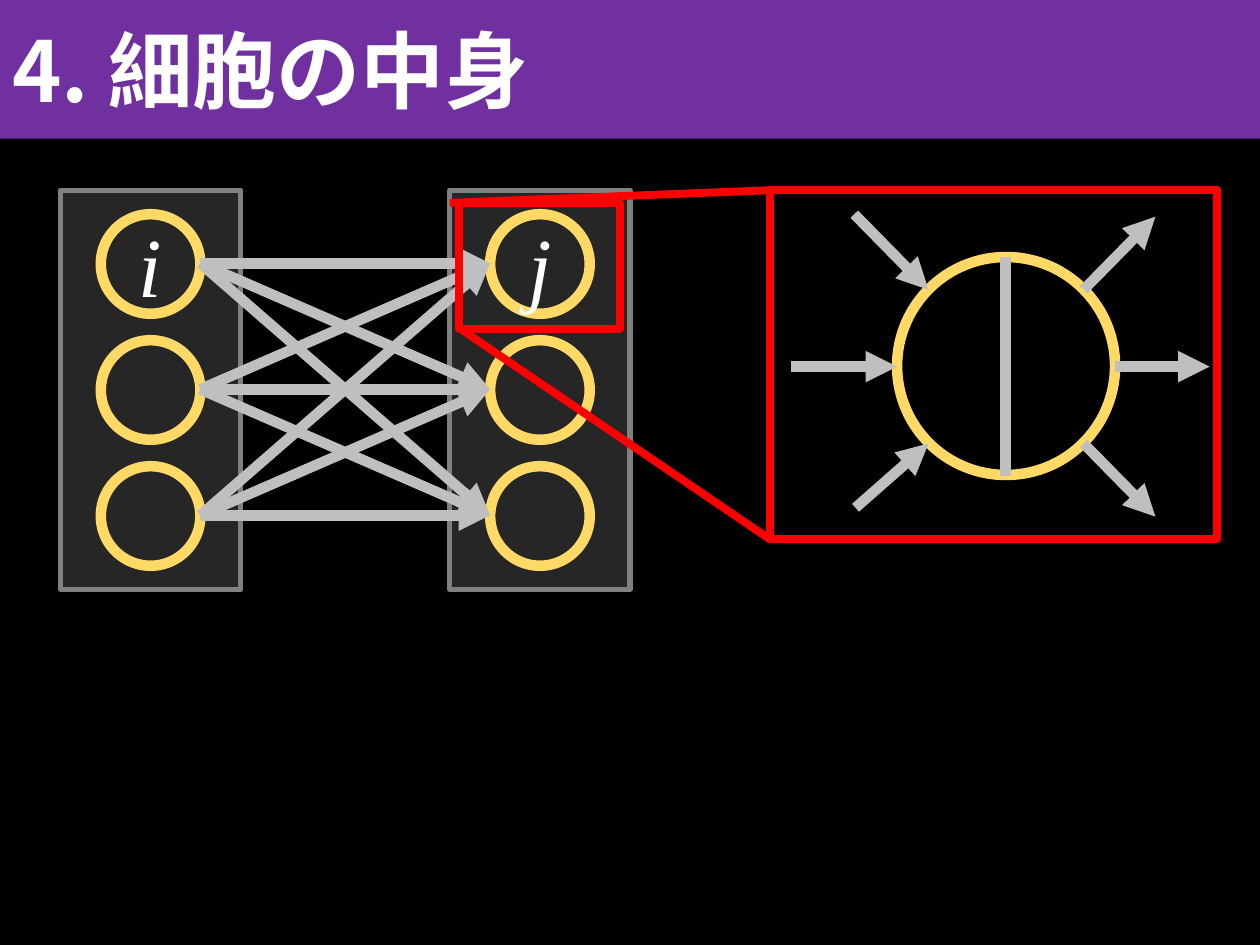
from itertools import product
from typing import NamedTuple

from lxml import etree
from pptx import Presentation
from pptx.dml.color import RGBColor
from pptx.enum.shapes import MSO_CONNECTOR, MSO_SHAPE
from pptx.enum.text import MSO_ANCHOR, PP_ALIGN
from pptx.oxml.ns import qn
from pptx.util import Emu, Pt

RECT = MSO_SHAPE.RECTANGLE
OVAL = MSO_SHAPE.OVAL
LINE = MSO_CONNECTOR.STRAIGHT
MID = MSO_ANCHOR.MIDDLE
LEFT = PP_ALIGN.LEFT
CENTER = PP_ALIGN.CENTER

SCALE = 9144
WHITE = "FFFFFF"
GOLD = "FFD966"
GRAY = "BFBFBF"
RED = "FF0000"


class Box(NamedTuple):
    x: int
    y: int
    w: int
    h: int


class Ray(NamedTuple):
    x1: int
    y1: int
    x2: int
    y2: int


class Layer(NamedTuple):
    x: int
    label: str


def px(n: int) -> Emu:
    return Emu(n * SCALE)


def color(code: str) -> RGBColor:
    return RGBColor.from_string(code)


def write(shape, text: str, *, font: str, size: int = 48, align=LEFT,
          bold: bool = False, italic: bool = False) -> None:
    frame = shape.text_frame
    frame.word_wrap = True
    frame.vertical_anchor = MID
    para = frame.paragraphs[0]
    para.alignment = align
    run = para.add_run()
    run.text = text
    run.font.name = font
    run.font.size = Pt(size)
    run.font.bold = bold
    run.font.italic = italic
    run.font.color.rgb = color(WHITE)
    etree.SubElement(run._r.get_or_add_rPr(), qn("a:ea"), typeface=font)


def draw(home, kind, box: Box, fill: str = "", edge: str = "", width: float = 6):
    shape = home.shapes.add_shape(kind, *map(px, box))
    shape.shadow.inherit = False
    if fill:
        shape.fill.solid()
        shape.fill.fore_color.rgb = color(fill)
    else:
        shape.fill.background()
    if edge:
        shape.line.color.rgb = color(edge)
        shape.line.width = Pt(width)
    else:
        shape.line.fill.background()
    return shape


def link(home, ray: Ray, edge: str = GRAY, width: float = 6, head: bool = True) -> None:
    line = home.shapes.add_connector(LINE, *map(px, ray))
    line.line.color.rgb = color(edge)
    line.line.width = Pt(width)
    if head:
        etree.SubElement(line.line._get_or_add_ln(), qn("a:tailEnd"), type="triangle")
    etree.SubElement(line._element.spPr, qn("a:effectLst"))


def draw_layer(home, layer: Layer) -> None:
    draw(home, RECT, Box(layer.x, 151, 143, 317), "262626", "808080", 3)
    for row in range(3):
        cell = draw(home, OVAL, Box(layer.x + 32, 170 + 100 * row, 79, 79), edge=GOLD)
        if row == 0:
            write(cell, layer.label, font="Times New Roman", align=CENTER, italic=True)


def draw_net(slide) -> None:
    net = slide.shapes.add_group_shape()
    for layer in (Layer(48, "i"), Layer(357, "j")):
        draw_layer(net, layer)
    rows = (209, 309, 409)
    for start, end in product(rows, rows):
        link(net, Ray(159, start, 389, end))


def draw_cell(slide) -> None:
    group = slide.shapes.add_group_shape()
    draw(group, OVAL, Box(712, 204, 173, 173), edge=GOLD)
    rays = (
        Ray(678, 170, 737, 230),
        Ray(628, 291, 712, 291),
        Ray(679, 403, 737, 352),
        Ray(860, 230, 917, 172),
        Ray(885, 291, 960, 291),
        Ray(860, 352, 917, 410),
    )
    for ray in rays:
        link(group, ray)
    link(group, Ray(798, 204, 798, 378), head=False)


def draw_zoom(slide) -> None:
    for box in (Box(611, 151, 355, 277), Box(364, 161, 128, 100)):
        draw(slide, RECT, box, edge=RED, width=4.5)
    for ray in (Ray(357, 161, 611, 151), Ray(364, 260, 611, 428)):
        link(slide, ray, RED, 4.5, head=False)


def main() -> None:
    deck = Presentation()
    deck.slide_width = px(1000)
    deck.slide_height = px(750)
    slide = deck.slides.add_slide(deck.slide_layouts[6])
    slide.background.fill.solid()
    slide.background.fill.fore_color.rgb = color("000000")
    title = draw(slide, RECT, Box(0, 0, 1000, 110), "7030A0")
    write(title, "4. 細胞の中身", font="Noto Sans CJK JP", bold=True)
    draw_net(slide)
    draw_cell(slide)
    draw_zoom(slide)
    deck.save("out.pptx")


if __name__ == "__main__":
    main()
